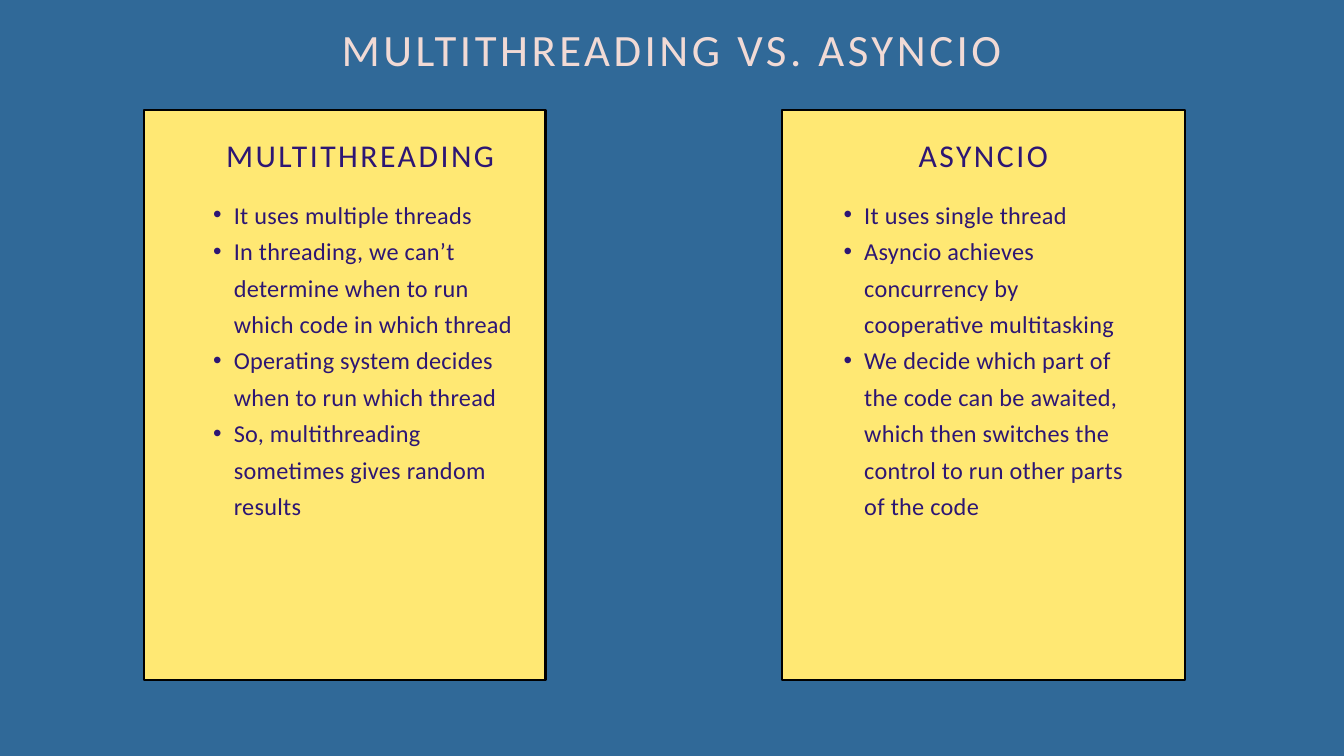
from dataclasses import dataclass

from lxml.etree import SubElement
from pptx import Presentation
from pptx.dml.color import RGBColor
from pptx.enum.shapes import MSO_SHAPE as Shape
from pptx.enum.text import MSO_AUTO_SIZE as AutoSize, PP_ALIGN as Align
from pptx.oxml.ns import qn
from pptx.slide import Slide
from pptx.util import Pt


@dataclass(frozen=True)
class TextStyle:
    size: float
    leading: float
    tracking: float
    color: RGBColor
    bulleted: bool = False


@dataclass(frozen=True)
class Theme:
    font: str = "Calibri"
    background: RGBColor = RGBColor(0x30, 0x69, 0x98)
    card: RGBColor = RGBColor(0xFF, 0xE8, 0x73)
    border: RGBColor = RGBColor(0, 0, 0)
    title: TextStyle = TextStyle(48, 62.4, 3.8, RGBColor(0xF1, 0xDA, 0xD5))
    heading: TextStyle = TextStyle(34, 44.2, 2.7, RGBColor(0x2D, 0x16, 0x74))
    body: TextStyle = TextStyle(26, 39, 0.3, RGBColor(0x2D, 0x16, 0x74), True)


@dataclass(frozen=True)
class Box:
    left: float
    top: float
    width: float
    height: float

    def lengths(self) -> tuple[Pt, ...]:
        return Pt(self.left), Pt(self.top), Pt(self.width), Pt(self.height)


@dataclass(frozen=True)
class Column:
    card: Box
    heading_box: Box
    body_box: Box
    heading: str
    points: tuple[str, ...]


THEME = Theme()
CARD_TOP, CARD_H = 118, 610.5
HEADING_TOP, HEADING_W, HEADING_H = 142, 326, 44
BODY_TOP, BODY_H = 206.5, 467.5
BULLET_INDENT, BULLET_HANG = 44, 22

COLUMNS = (
    Column(
        Box(154, CARD_TOP, 430.5, CARD_H),
        Box(223, HEADING_TOP, HEADING_W, HEADING_H),
        Box(206.5, BODY_TOP, 343, BODY_H),
        "MULTITHREADING",
        (
            "It uses multiple threads",
            "In threading, we can’t determine when to run which code in which thread",
            "Operating system decides when to run which thread",
            "So, multithreading sometimes gives random results",
        ),
    ),
    Column(
        Box(837.5, CARD_TOP, 432.5, CARD_H),
        Box(890.5, HEADING_TOP, HEADING_W, HEADING_H),
        Box(882, BODY_TOP, 344, BODY_H),
        "ASYNCIO",
        (
            "It uses single thread",
            "Asyncio achieves concurrency by cooperative multitasking",
            "We decide which part of the code can be awaited, which then switches "
            "the control to run other parts of the code",
        ),
    ),
)


def add_card(s: Slide, box: Box) -> None:
    sp = s.shapes.add_shape(Shape.RECTANGLE, *box.lengths())
    sp.shadow.inherit = False
    sp.fill.solid()
    sp.fill.fore_color.rgb = THEME.card
    sp.line.color.rgb = THEME.border
    sp.line.width = Pt(2.25)


def add_text(s: Slide, box: Box, lines: tuple[str, ...], style: TextStyle) -> None:
    tf = s.shapes.add_textbox(*box.lengths()).text_frame
    tf.margin_left = tf.margin_top = tf.margin_right = tf.margin_bottom = 0
    tf.word_wrap = True
    tf.auto_size = AutoSize.SHAPE_TO_FIT_TEXT
    tf.text = "\n".join(lines)
    for p in tf.paragraphs:
        p.line_spacing = Pt(style.leading)
        if style.bulleted:
            p.level = 1
            p.alignment = Align.LEFT
            pPr = p._p.get_or_add_pPr()
            pPr.set("marL", str(Pt(BULLET_INDENT)))
            pPr.set("indent", str(-Pt(BULLET_HANG)))
            SubElement(pPr, qn("a:buFont"), typeface="Arial")
            SubElement(pPr, qn("a:buChar"), char="•")
        else:
            p.alignment = Align.CENTER
        for r in p.runs:
            r.font.name = THEME.font
            r.font.size = Pt(style.size)
            r.font.color.rgb = style.color
            r._r.get_or_add_rPr().set("spc", str(round(style.tracking * 100)))


def main() -> None:
    prs = Presentation()
    prs.slide_width, prs.slide_height = Pt(1440), Pt(810)
    s = prs.slides.add_slide(prs.slide_layouts[6])
    s.background.fill.solid()
    s.background.fill.fore_color.rgb = THEME.background

    for column in COLUMNS:
        add_card(s, column.card)
    add_text(s, Box(329.5, 18.5, 781, 62), ("MULTITHREADING VS. ASYNCIO",), THEME.title)
    for column in COLUMNS:
        add_text(s, column.heading_box, (column.heading,), THEME.heading)
        add_text(s, column.body_box, column.points, THEME.body)

    prs.save("out.pptx")


if __name__ == "__main__":
    main()
